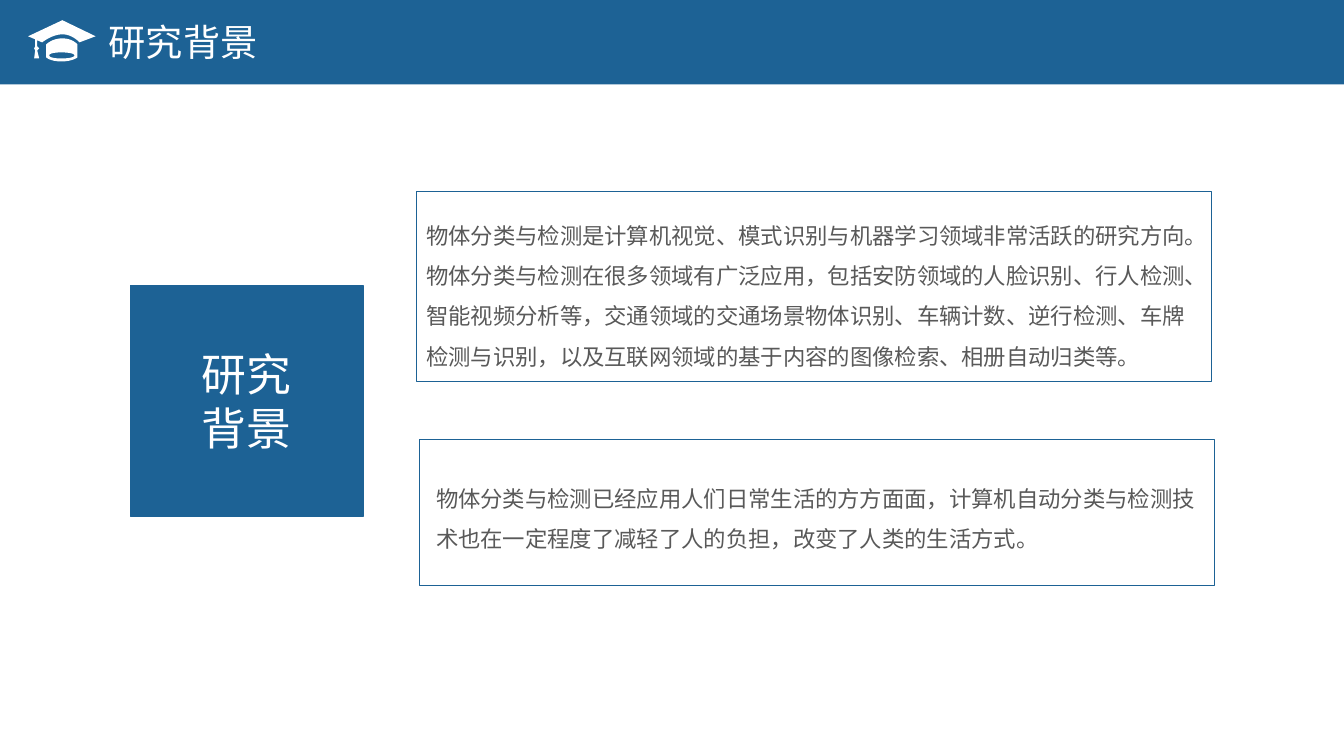
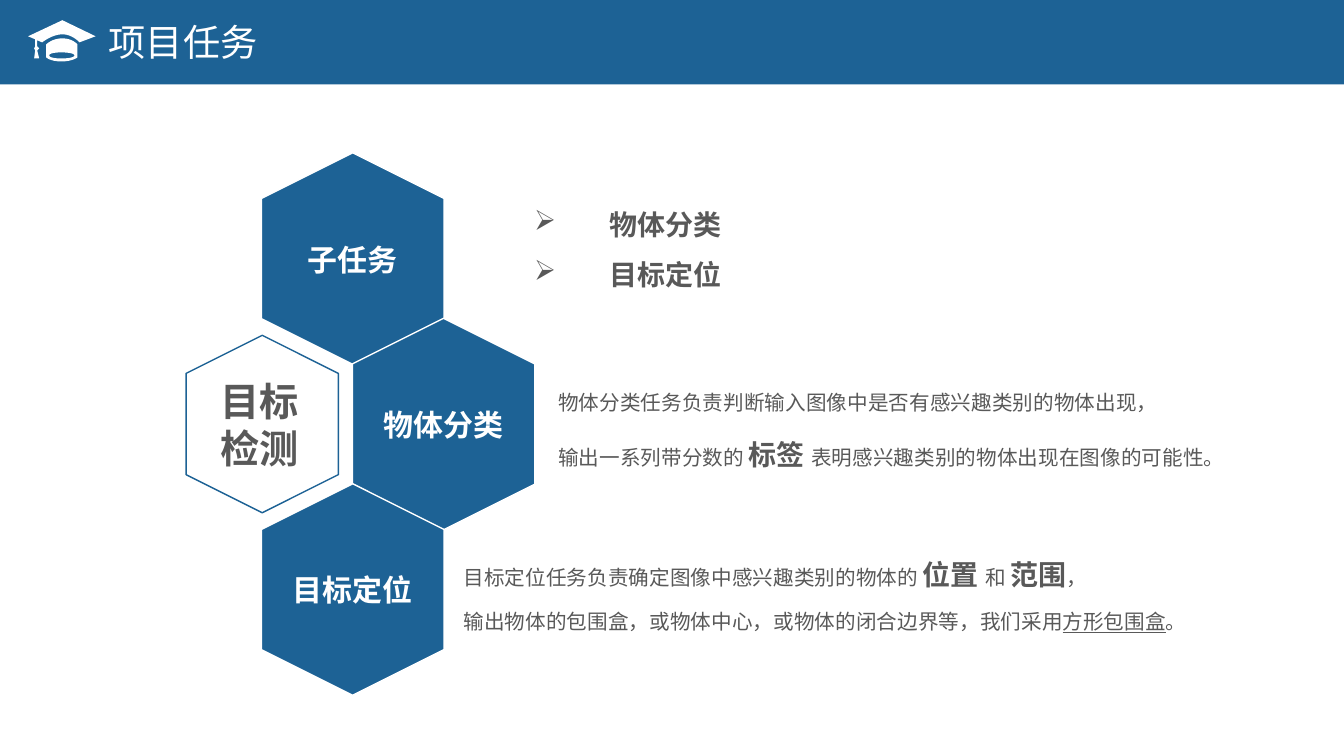
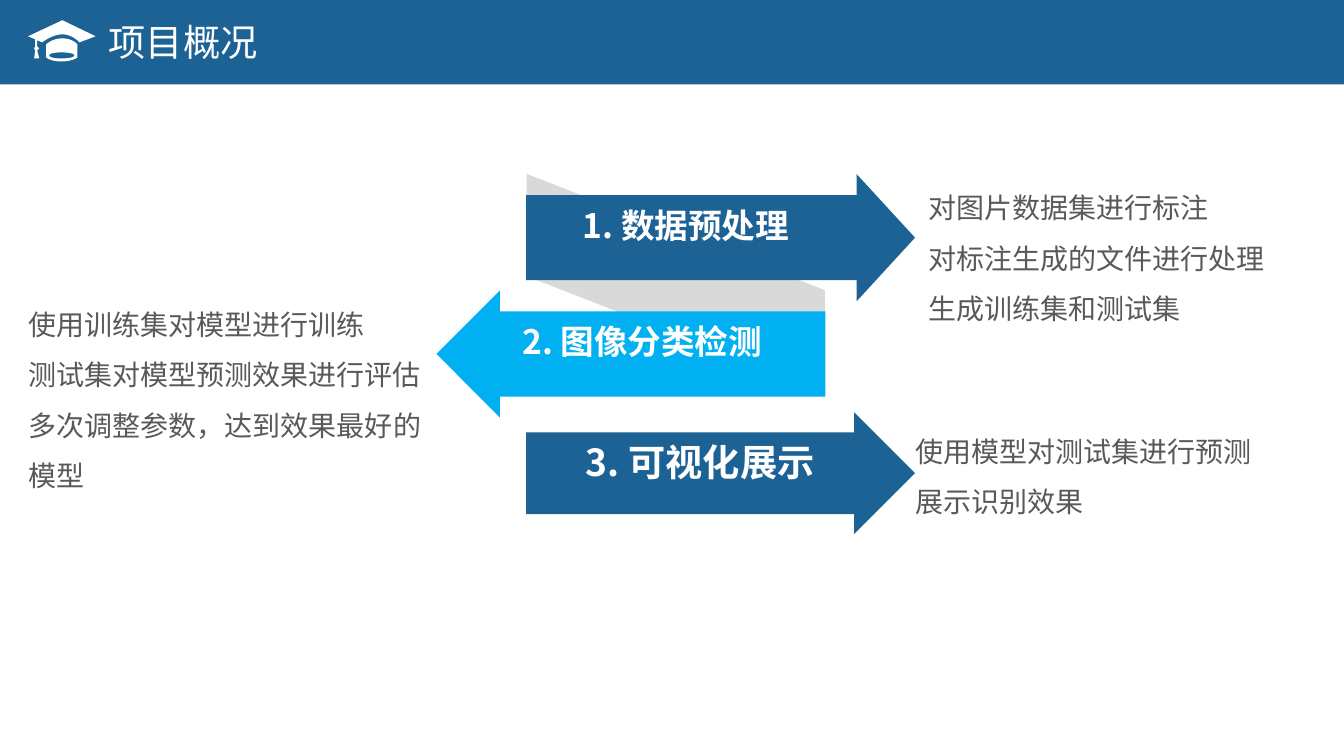
from dataclasses import dataclass

from lxml import etree
from pptx import Presentation
from pptx.dml.color import RGBColor
from pptx.enum.shapes import MSO_SHAPE
from pptx.enum.text import MSO_ANCHOR, PP_ALIGN
from pptx.oxml.ns import qn
from pptx.util import Cm, Pt

RECTANGLE = MSO_SHAPE.RECTANGLE
HEXAGON = MSO_SHAPE.HEXAGON
PARALLELOGRAM = MSO_SHAPE.PARALLELOGRAM
RIGHT_ARROW = MSO_SHAPE.RIGHT_ARROW
LEFT, CENTER, JUSTIFY = PP_ALIGN.LEFT, PP_ALIGN.CENTER, PP_ALIGN.JUSTIFY
TOP, MIDDLE = MSO_ANCHOR.TOP, MSO_ANCHOR.MIDDLE


@dataclass(frozen=True)
class Theme:
    """Colours, font and type sizes shared by all slides."""

    blue: str = "1D6295"
    sky: str = "00B0F0"
    grey: str = "D9D9D9"
    ink: str = "595959"
    white: str = "FFFFFF"
    font: str = "Noto Sans CJK SC"
    title: float = 26.6
    square: float = 32
    center: float = 28
    step: float = 24
    hexagon: float = 21.4
    large: float = 20
    body: float = 16
    detail: float = 14.7


THEME = Theme()


@dataclass(frozen=True)
class Box:
    """A region in centimetres."""

    left: float
    top: float
    width: float
    height: float

    def inside(self, left, top, width, height):
        """Return a box offset from this one's corner."""
        return Box(self.left + left, self.top + top, width, height)

    def turned(self):
        """Return the box with swapped sides around the same centre."""
        shift = (self.width - self.height) / 2
        return Box(self.left + shift, self.top - shift, self.height, self.width)

    def lengths(self):
        """Return the four lengths as Cm."""
        return [Cm(value) for value in (self.left, self.top, self.width, self.height)]


@dataclass(frozen=True)
class Run:
    """A piece of text with one look."""

    text: str
    size: float
    bold: bool = False
    underline: bool = False
    color: str = THEME.ink


SLIDE = Box(0, 0, 33.87, 19.05)
BAND = Box(0, 0, SLIDE.width, 2.13)
BODY = Box(0, BAND.height, SLIDE.width, SLIDE.height - BAND.height)

CAP_WIDTH, CAP_UNITS = 1.7, 67
CAP_CONTOURS = [
    [(51, 22), (51, 22, 44, 14, 34, 14), (24, 14, 14, 22, 14, 22), (9, 20),
     (9, 26), (11, 28), (9, 30), (11, 38), (6, 38), (7, 30), (6, 28), (7, 26),
     (7, 19), (0, 16), (34, 0), (67, 16)],
    [(34, 18), (44, 18, 49, 24, 49, 24), (49, 37), (49, 37, 44, 41, 33, 41),
     (22, 41, 18, 37, 18, 37), (18, 24), (18, 24, 24, 18, 34, 18)],
    [(33, 38), (40, 38, 46, 37, 46, 35), (46, 33, 40, 32, 33, 32),
     (26, 32, 21, 33, 21, 35), (21, 37, 26, 38, 33, 38)],
]


def rgb(color):
    """Turn a hex string into a colour."""
    return RGBColor.from_string(color)


def paint(shape, fill=None, line=None, line_width=0.75):
    """Set fill and outline, and drop the shadow."""
    shape.shadow.inherit = False
    if fill:
        shape.fill.solid()
        shape.fill.fore_color.rgb = rgb(fill)
    else:
        shape.fill.background()
    if line:
        shape.line.color.rgb = rgb(line)
        shape.line.width = Pt(line_width)
    else:
        shape.line.fill.background()


def add_preset(slide, preset, box, fill=None, line=None, line_width=0.75,
               rotation=0, adjustments=()):
    """Add a preset shape that fills the box after its rotation."""
    frame = box.turned() if rotation % 180 else box
    shape = slide.shapes.add_shape(preset, *frame.lengths())
    shape.rotation = rotation
    for index, value in enumerate(adjustments):
        shape.adjustments[index] = value
    paint(shape, fill, line, line_width)
    return shape


def add_bullet(paragraph, bullet, indent):
    """Give a paragraph a bullet with a hanging indent."""
    properties = paragraph._p.get_or_add_pPr()
    properties.set("marL", str(Cm(indent)))
    properties.set("indent", str(-Cm(indent)))
    etree.SubElement(properties, qn("a:buChar")).set("char", bullet)


def write(shape, paragraphs, align=LEFT, spacing=None, before=0, bullet=None,
          anchor=TOP, inset=True):
    """Write paragraphs, each a list of runs, into a shape."""
    frame = shape.text_frame
    frame.word_wrap = True
    frame.vertical_anchor = anchor
    if not inset:
        frame.margin_left = frame.margin_right = Cm(0)
        frame.margin_top = frame.margin_bottom = Cm(0)
    for index, runs in enumerate(paragraphs):
        paragraph = frame.add_paragraph() if index else frame.paragraphs[0]
        if bullet:
            add_bullet(paragraph, bullet, 1.9)
        paragraph.alignment = align
        if spacing:
            paragraph.line_spacing = spacing
        if index and before:
            paragraph.space_before = Pt(before)
        for item in runs:
            run = paragraph.add_run()
            run.text = item.text
            run.font.size = Pt(item.size)
            run.font.bold = item.bold
            run.font.underline = item.underline
            run.font.color.rgb = rgb(item.color)
            run.font.name = THEME.font
            east_asian = etree.SubElement(run._r.get_or_add_rPr(), qn("a:ea"))
            east_asian.set("typeface", THEME.font)


def add_text(slide, box, paragraphs, **options):
    """Add a text box."""
    write(slide.shapes.add_textbox(*box.lengths()), paragraphs, **options)


def lines(texts, size, **look):
    """Make one single-run paragraph per text."""
    return [[Run(text, size, **look)] for text in texts]


def flatten(contour, steps=8):
    """Turn a contour of points and Bezier curves into points."""
    points = [contour[0]]
    for segment in contour[1:]:
        if len(segment) == 2:
            points.append(segment)
            continue
        controls = [points[-1], segment[:2], segment[2:4], segment[4:]]
        for step in range(1, steps + 1):
            t = step / steps
            weights = ((1 - t) ** 3, 3 * t * (1 - t) ** 2, 3 * t * t * (1 - t), t ** 3)
            points.append(tuple(
                sum(weight * control[axis] for weight, control in zip(weights, controls))
                for axis in (0, 1)))
    return points


def add_cap(slide, box):
    """Draw the graduation cap in the box."""
    unit = Cm(box.width) / CAP_UNITS
    contours = [[(x * unit, y * unit) for x, y in flatten(contour)]
                for contour in CAP_CONTOURS]
    builder = slide.shapes.build_freeform(*contours[0][0])
    for index, points in enumerate(contours):
        if index:
            builder.move_to(*points[0])
        builder.add_line_segments(points[1:], close=True)
    paint(builder.convert_to_shape(Cm(box.left), Cm(box.top)), THEME.white)


def add_header(slide, box, title):
    """Add the title band with its cap."""
    add_preset(slide, RECTANGLE, box, THEME.blue)
    add_text(slide, box.inside(2.49, 0.36, 10.72, 1.4),
             lines([title], THEME.title, color=THEME.white))
    add_cap(slide, box.inside(0.71, 0.51, CAP_WIDTH, 1.04))


def add_background(slide, box):
    """Add the topic square and its two text panels."""
    square = add_preset(slide, RECTANGLE, box.inside(3.28, 5.06, 5.87, 5.82),
                        THEME.blue, THEME.blue)
    write(square, lines(["研究", "背景"], THEME.square, color=THEME.white),
          align=CENTER, anchor=MIDDLE)
    panels = [
        (box.inside(10.49, 2.7, 20.04, 4.78), (0, 0.3),
         ["物体分类与检测是计算机视觉、模式识别与机器学习领域非常活跃的研究方向。",
          "物体分类与检测在很多领域有广泛应用，包括安防领域的人脸识别、行人检测、"
          "智能视频分析等，交通领域的交通场景物体识别、车辆计数、逆行检测、车牌"
          "检测与识别，以及互联网领域的基于内容的图像检索、相册自动归类等。"]),
        (box.inside(10.57, 8.94, 20.04, 3.68), (0.17, 0.69),
         ["物体分类与检测已经应用人们日常生活的方方面面，计算机自动分类与检测技"
          "术也在一定程度了减轻了人的负担，改变了人类的生活方式。"]),
    ]
    for panel, offset, texts in panels:
        add_preset(slide, RECTANGLE, panel, line=THEME.blue)
        add_text(slide, panel.inside(*offset, 20.14, panel.height - 2 * offset[1]),
                 lines(texts, THEME.body), spacing=1.5)


def add_tasks(slide, box):
    """Add the honeycomb of tasks and their explanations."""
    center = box.inside(4.69, 6.32, 3.84, 4.47)
    add_preset(slide, HEXAGON, center, line=THEME.blue, line_width=1, rotation=270)
    add_text(slide, center.inside(0.32, 0.93, 3.07, 2.64),
             lines(["目标", "检测"], THEME.center, bold=True), align=CENTER)

    for row, label in enumerate(["子任务", "物体分类", "目标定位"]):
        cell = box.inside(6.59 + 2.29 * (row % 2), 1.72 + 4.17 * row, 4.6, 5.33)
        add_preset(slide, HEXAGON, cell, THEME.blue, THEME.white, 1, rotation=270)
        add_text(slide, cell.inside(0.35, 2.1, 3.89, 1.17),
                 lines([label], THEME.hexagon, bold=True, color=THEME.white),
                 align=CENTER)

    add_text(slide, box.inside(13.21, 2.54, 17.6, 2.95),
             lines(["物体分类", "目标定位"], THEME.large, bold=True),
             spacing=1.5, bullet="➢")

    def plain(text, underline=False):
        return Run(text, THEME.detail, underline=underline)

    def strong(text):
        return Run(text, THEME.large, bold=True)

    classification = [
        [plain("物体分类任务负责判断输入图像中是否有感兴趣类别的物体出现，")],
        [plain("输出一系列带分数的 "), strong("标签 "),
         plain("表明感兴趣类别的物体出现在图像的可能性。")],
    ]
    location = [
        [plain("目标定位任务负责确定图像中感兴趣类别的物体的 "), strong("位置 "),
         plain("和 "), strong("范围"), plain("，")],
        [plain("输出物体的包围盒，或物体中心，或物体的闭合边界等，我们采用"),
         plain("方形包围盒", underline=True), plain("。")],
    ]
    add_text(slide, box.inside(13.82, 7.27, 18.29, 2.79), classification,
             spacing=1.5, before=4)
    add_text(slide, box.inside(11.43, 11.36, 20.17, 2.79), location,
             spacing=1.5, before=4)


def add_overview(slide, box):
    """Add the three step arrows and the notes beside them."""
    add_preset(slide, PARALLELOGRAM, box.inside(13.27, 2.25, 7.52, 5.51),
               THEME.grey, rotation=270, adjustments=[0.532])
    steps = [
        (box.inside(13.26, 2.26, 9.8, 3.2), THEME.blue, 0, 0.459,
         "1. 数据预处理", THEME.step, (0.53, 0.77, 6.99, 1.02),
         box.inside(23.39, 2.26, 8.74, 3.84),
         ["对图片数据集进行标注", "对标注生成的文件进行处理", "生成训练集和测试集"]),
        (box.inside(11, 5.19, 9.8, 3.2), THEME.sky, 180, 0.5,
         "2. 图像分类检测", THEME.step, (1.73, 0.76, 6.91, 1.02),
         box.inside(0.71, 5.19, 9.91, 5.99),
         ["使用训练集对模型进行训练", "测试集对模型预测效果进行评估",
          "多次调整参数，达到效果最好的模型"]),
        (box.inside(13.26, 8.26, 9.8, 3.07), THEME.blue, 0, 0.5,
         "3. 可视化展示", THEME.title, (0.53, 0.68, 7.72, 1.14),
         box.inside(23.06, 8.39, 8.76, 2.57),
         ["使用模型对测试集进行预测", "展示识别效果"]),
    ]
    for arrow, fill, rotation, head, label, size, label_box, note_box, notes in steps:
        add_preset(slide, RIGHT_ARROW, arrow, fill, rotation=rotation,
                   adjustments=[0.67, head])
        add_text(slide, arrow.inside(*label_box),
                 lines([label], size, bold=True, color=THEME.white),
                 align=CENTER, inset=False)
        add_text(slide, note_box, lines(notes, THEME.large),
                 align=JUSTIFY, spacing=1.5, inset=False)


def main():
    """Build and save the presentation."""
    presentation = Presentation()
    presentation.slide_width = Cm(SLIDE.width)
    presentation.slide_height = Cm(SLIDE.height)
    blank = presentation.slide_layouts[6]
    for title, add_body in [("研究背景", add_background), ("项目任务", add_tasks),
                            ("项目概况", add_overview)]:
        slide = presentation.slides.add_slide(blank)
        add_header(slide, BAND, title)
        add_body(slide, BODY)
    presentation.save("out.pptx")


if __name__ == "__main__":
    main()
